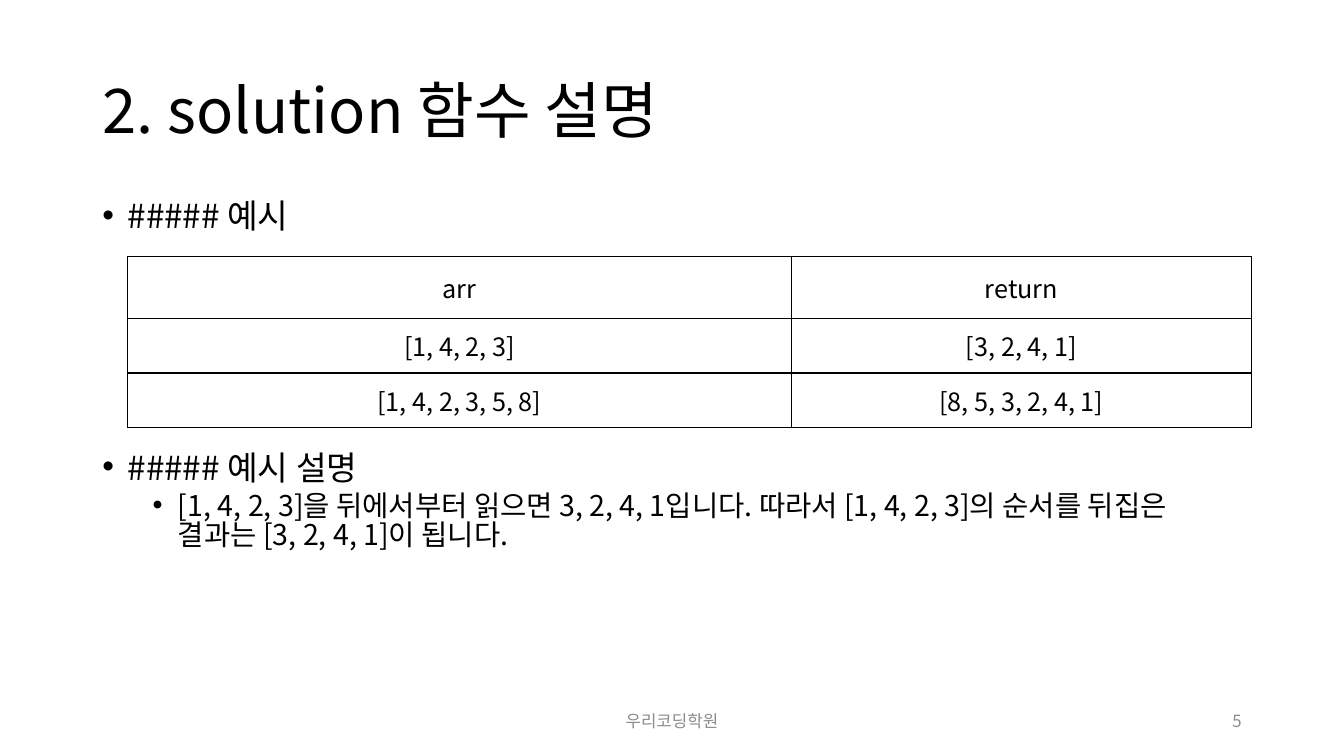
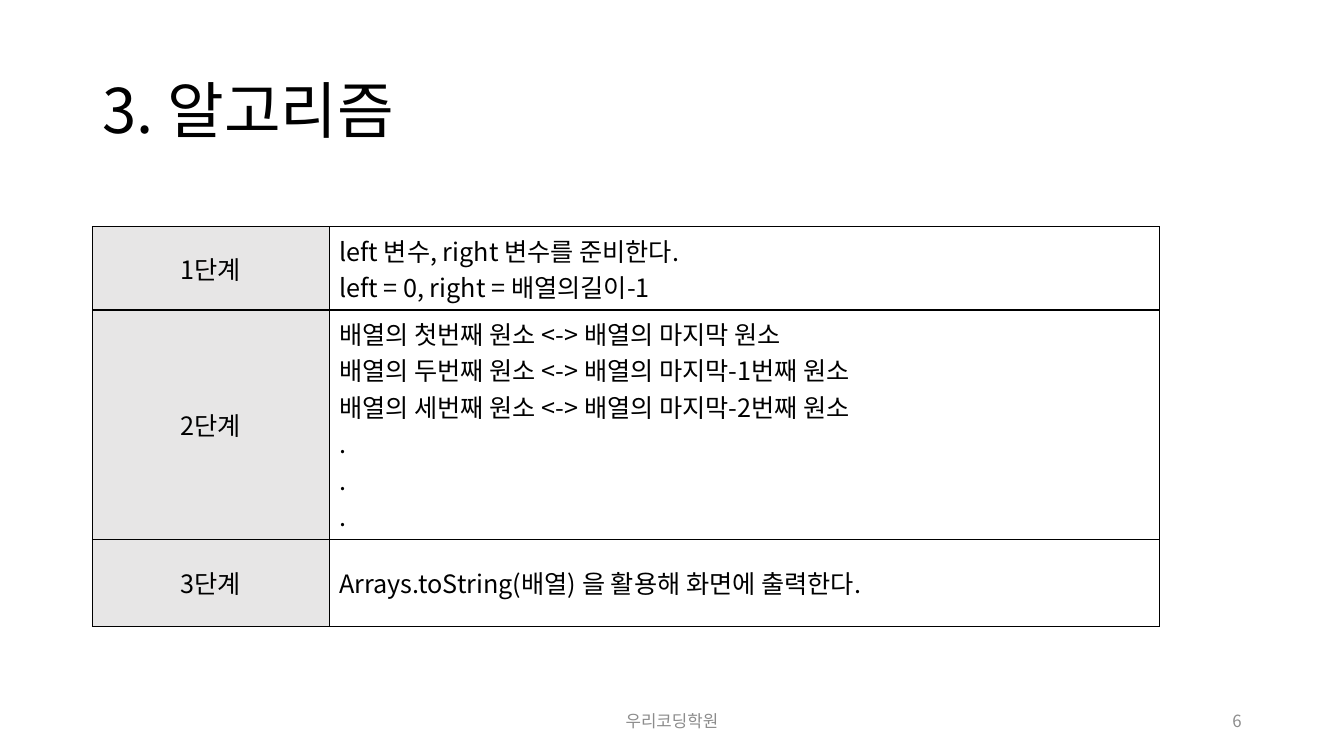
from lxml import etree
from pptx import Presentation
from pptx import util as u
from pptx.dml.color import RGBColor
from pptx.enum import text
from pptx.oxml.ns import qn

COLORS = {"ink": "000000", "muted": "8C8C8C", "label": "E7E6E6", "rule": "000000"}
FONT = "Noto Sans CJK KR"
GRID_COLUMNS, GRID_ROWS = 160, 90
LEFT, CONTENT_WIDTH = 11, 138
FOOTER_TOP, FOOTER_HEIGHT = 83.4, 4.8
CENTER, RIGHT = text.PP_ALIGN.CENTER, text.PP_ALIGN.RIGHT
MIDDLE, TOP = text.MSO_ANCHOR.MIDDLE, text.MSO_ANCHOR.TOP


class Deck:
    """Shared style plus the slide being filled."""

    def __init__(self):
        self.prs = Presentation()
        self.prs.slide_width, self.prs.slide_height = u.Inches(13.33), u.Inches(7.5)
        self.slide = None

    def x(self, columns):
        return round(self.prs.slide_width * columns / GRID_COLUMNS)

    def y(self, rows):
        return round(self.prs.slide_height * rows / GRID_ROWS)

    def style(self, paragraph, size, color="ink", align=None, spacing=None):
        paragraph.alignment = align
        paragraph.line_spacing = spacing
        font = paragraph.font
        font.size, font.name = u.Pt(size), FONT
        font.color.rgb = RGBColor.from_string(COLORS[color])
        defaults = paragraph._p.pPr.find(qn("a:defRPr"))
        etree.SubElement(defaults, qn("a:ea"), typeface=FONT)

    def frame(self, left, top, width, height, anchor=MIDDLE):
        box = self.slide.shapes.add_textbox(
            self.x(left), self.y(top), self.x(width), self.y(height))
        box.text_frame.word_wrap = True
        box.text_frame.vertical_anchor = anchor
        return box.text_frame

    def label(self, words, left, top, width, height, size, **look):
        paragraph = self.frame(left, top, width, height).paragraphs[0]
        paragraph.text = words
        self.style(paragraph, size, **look)

    def page(self, title, number):
        """Start a slide with its title and footer."""
        self.slide = self.prs.slides.add_slide(self.prs.slide_layouts[6])
        self.label(title, LEFT, 4.8, CONTENT_WIDTH, 17.4, 44, spacing=0.9)
        self.label("우리코딩학원", 53, FOOTER_TOP, 54, FOOTER_HEIGHT, 12,
                   color="muted", align=CENTER)
        self.label(str(number), 113, FOOTER_TOP, 36, FOOTER_HEIGHT, 12,
                   color="muted", align=RIGHT)

    def bullets(self, top, height, heading, *details):
        """A heading bullet with detail bullets below it."""
        body = self.frame(LEFT, top, CONTENT_WIDTH, height, TOP)
        for i, words in enumerate((heading, *details)):
            paragraph = body.paragraphs[0] if i == 0 else body.add_paragraph()
            paragraph.text = words
            size, spacing, indent = (20.4, 0.85, 0.75) if i else (23.8, 0.7, 0.25)
            if i:
                paragraph.level = 1
                paragraph.space_before = u.Pt(5)
            props = paragraph._p.get_or_add_pPr()
            props.set("marL", str(u.Inches(indent)))
            props.set("indent", str(u.Inches(-0.25)))
            etree.SubElement(props, qn("a:buFont"), typeface="Arial")
            etree.SubElement(props, qn("a:buChar"), char="•")
            self.style(paragraph, size, spacing=spacing)

    def border(self, cell):
        props = cell._tc.get_or_add_tcPr()
        for i, side in enumerate(("lnL", "lnR", "lnT", "lnB")):
            line = etree.Element(qn(f"a:{side}"), w=str(u.Pt(1)))
            fill = etree.SubElement(line, qn("a:solidFill"))
            etree.SubElement(fill, qn("a:srgbClr"), val=COLORS["rule"])
            props.insert(i, line)

    def table(self, left, top, widths, heights, content, centered, shaded=()):
        """Bordered table; centered and shaded name column indexes."""
        grid = self.slide.shapes.add_table(
            len(heights), len(widths), self.x(left), self.y(top),
            self.x(sum(widths)), self.y(sum(heights))).table
        grid.first_row = grid.horz_banding = False
        for column, width in zip(grid.columns, widths):
            column.width = self.x(width)
        for row, height, entries in zip(grid.rows, heights, content):
            row.height = self.y(height)
            for i, (cell, words) in enumerate(zip(row.cells, entries)):
                cell.text = words
                cell.vertical_anchor = MIDDLE
                if i in shaded:
                    cell.fill.solid()
                    cell.fill.fore_color.rgb = RGBColor.from_string(COLORS["label"])
                else:
                    cell.fill.background()
                self.border(cell)
                for paragraph in cell.text_frame.paragraphs:
                    self.style(paragraph, 18, align=CENTER if i in centered else None)


def main():
    deck = Deck()

    # Function description
    deck.page("2. solution 함수 설명", 5)
    deck.bullets(24, 5, "##### 예시")
    examples = [
        ("arr", "return"),
        ("[1, 4, 2, 3]", "[3, 2, 4, 1]"),
        ("[1, 4, 2, 3, 5, 8]", "[8, 5, 3, 2, 4, 1]"),
    ]
    deck.table(15.2, 30.5, (79, 54.8), (7.4, 6.5, 6.5), examples, centered=(0, 1))
    deck.bullets(
        53.9, 27, "##### 예시 설명",
        "[1, 4, 2, 3]을 뒤에서부터 읽으면 3, 2, 4, 1입니다. "
        "따라서 [1, 4, 2, 3]의 순서를 뒤집은 결과는 [3, 2, 4, 1]이 됩니다.")

    # Algorithm steps
    deck.page("3. 알고리즘", 6)
    swaps = [
        "배열의 첫번째 원소 <-> 배열의 마지막 원소",
        "배열의 두번째 원소 <-> 배열의 마지막-1번째 원소",
        "배열의 세번째 원소 <-> 배열의 마지막-2번째 원소",
        ".", ".", ".",
    ]
    steps = [
        ("1단계", "left 변수, right 변수를 준비한다.\nleft = 0, right = 배열의길이-1"),
        ("2단계", "\n".join(swaps)),
        ("3단계", "Arrays.toString(배열) 을 활용해 화면에 출력한다."),
    ]
    deck.table(LEFT, 27, (28.2, 98.8), (9.9, 27.3, 10.4), steps,
               centered=(0,), shaded=(0,))

    deck.prs.save("out.pptx")


if __name__ == "__main__":
    main()
